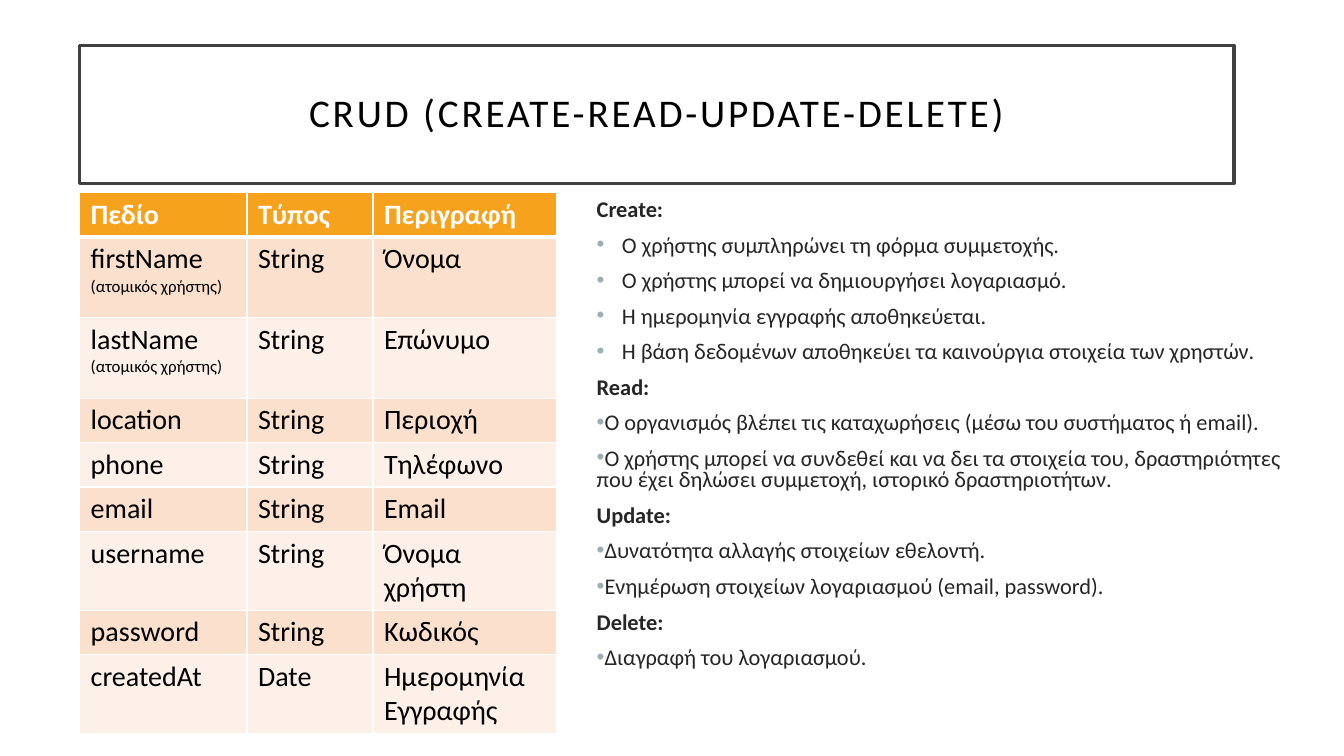
"""Build the CRUD slide: a framed title, a table of user fields and a list of operations."""
from dataclasses import dataclass

from lxml import etree
from pptx import Presentation
from pptx import util as u
from pptx.dml.color import RGBColor
from pptx.enum import text as t
from pptx.oxml.ns import qn

COLUMNS, ROWS = 80, 45
SLIDE_WIDTH, SLIDE_HEIGHT = u.Inches(13.33), u.Inches(7.5)


@dataclass(frozen=True)
class Theme:
    font: str = "Calibri"
    title_size: int = 28
    table_size: int = 20
    body_size: int = 16
    note_size: int = 12
    black: str = "000000"
    white: str = "FFFFFF"
    frame: str = "404040"
    body: str = "262626"
    bullet: str = "9BAFB5"
    header: str = "F6A21D"
    bands: tuple[str, str] = ("FBE0CD", "FDF0E8")


@dataclass(frozen=True)
class Box:
    left: float
    top: float
    width: float
    height: float


@dataclass(frozen=True)
class Field:
    name: str
    kind: str
    description: str
    height: float = 1.92


@dataclass(frozen=True)
class Operation:
    name: str
    steps: tuple[str, ...]
    margin: float = 0


THEME = Theme()
TITLE_BOX = Box(4.74, 2.7, 68.7, 8.22)
BODY_BOX = Box(34.92, 11.64, 43.2, 29.52)
TABLE_BOX = Box(4.74, 11.46, 28.38, 32.16)
TABLE_COLUMNS = (9.96, 7.5, 10.92)
BULLET_INDENT = 1.5

FIELDS = (
    Field("Πεδίο", "Τύπος", "Περιγραφή"),
    Field("firstName\n(ατομικός χρήστης)", "String", "Όνομα", 4.8),
    Field("lastName\n(ατομικός χρήστης)", "String", "Επώνυμο", 4.8),
    Field("location", "String", "Περιοχή"),
    Field("phone", "String", "Τηλέφωνο"),
    Field("email", "String", "Email"),
    Field("username", "String", "Όνομα χρήστη", 3.36),
    Field("password", "String", "Κωδικός"),
    Field("createdAt", "Date", "Ημερομηνία Εγγραφής", 3.36),
)

OPERATIONS = (
    Operation("Create:", (
        "Ο χρήστης συμπληρώνει τη φόρμα συμμετοχής.",
        "Ο χρήστης μπορεί να δημιουργήσει λογαριασμό.",
        "Η ημερομηνία εγγραφής αποθηκεύεται.",
        "Η βάση δεδομένων αποθηκεύει τα καινούργια στοιχεία των χρηστών.",
    ), BULLET_INDENT),
    Operation("Read:", (
        "Ο οργανισμός βλέπει τις καταχωρήσεις (μέσω του συστήματος ή email).",
        "Ο χρήστης μπορεί να συνδεθεί και να δει τα στοιχεία του, δραστηριότητες "
        "που έχει δηλώσει συμμετοχή, ιστορικό δραστηριοτήτων.",
    )),
    Operation("Update:", (
        "Δυνατότητα αλλαγής στοιχείων εθελοντή.",
        "Ενημέρωση στοιχείων λογαριασμού (email, password).",
    )),
    Operation("Delete:", ("Διαγραφή του λογαριασμού.",)),
)


def across(columns: float) -> int:
    """Turn grid columns into a length."""
    return round(SLIDE_WIDTH * columns / COLUMNS)


def down(rows: float) -> int:
    """Turn grid rows into a length."""
    return round(SLIDE_HEIGHT * rows / ROWS)


def place(shape, box: Box) -> None:
    """Move a shape to its box on the grid."""
    shape.left, shape.top = across(box.left), down(box.top)
    shape.width, shape.height = across(box.width), down(box.height)


def format_runs(paragraph, size: int, color: str, bold: bool = False) -> None:
    """Give every run of a paragraph its font."""
    for run in paragraph.runs:
        run.font.name, run.font.size, run.font.bold = THEME.font, u.Pt(size), bold
        run.font.color.rgb = RGBColor.from_string(color)


def add_color(parent, tag: str, color: str) -> None:
    """Append a colour holder such as a:solidFill or a:buClr."""
    holder = etree.SubElement(parent, qn(tag))
    etree.SubElement(holder, qn("a:srgbClr"), val=color)


def draw_title(title) -> None:
    """Write the title in its dark frame."""
    place(title, TITLE_BOX)
    title.fill.solid()
    title.fill.fore_color.rgb = RGBColor.from_string(THEME.white)
    title.line.color.rgb = RGBColor.from_string(THEME.frame)
    title.line.width = u.Pt(2.5)
    frame = title.text_frame
    frame.text = "CRUD (CREATE-READ-UPDATE-DELETE)"
    frame.auto_size = t.MSO_AUTO_SIZE.NONE
    frame.vertical_anchor = t.MSO_ANCHOR.MIDDLE
    paragraph = frame.paragraphs[0]
    paragraph.alignment, paragraph.line_spacing = t.PP_ALIGN.CENTER, 0.9
    format_runs(paragraph, THEME.title_size, THEME.black)
    paragraph.runs[0].font._element.set("spc", "200")


def set_bullet(paragraph, margin: float, indent: float, bulleted: bool) -> None:
    """Set the indents of a paragraph and show or hide its bullet."""
    properties = paragraph._p.get_or_add_pPr()
    properties.set("marL", str(across(margin)))
    properties.set("indent", str(across(indent)))
    if bulleted:
        add_color(properties, "a:buClr", THEME.bullet)
        etree.SubElement(properties, qn("a:buFont"), typeface="Arial")
        etree.SubElement(properties, qn("a:buChar"), char="•")
    else:
        etree.SubElement(properties, qn("a:buNone"))


def draw_operations(body) -> None:
    """List the operations with their steps."""
    place(body, BODY_BOX)
    frame = body.text_frame
    frame.auto_size = t.MSO_AUTO_SIZE.NONE
    lines = [(text, operation.margin, index > 0) for operation in OPERATIONS
             for index, text in enumerate((operation.name, *operation.steps))]
    frame.text = "\n".join(text for text, _, _ in lines)
    for paragraph, (_, margin, bulleted) in zip(frame.paragraphs, lines):
        paragraph.line_spacing, paragraph.space_before = 0.8, u.Pt(10)
        set_bullet(paragraph, margin if bulleted else 0,
                   -BULLET_INDENT if bulleted else 0, bulleted)
        format_runs(paragraph, THEME.body_size, THEME.body, not bulleted)


def draw_cell(cell, text: str, row: int) -> None:
    """Fill, border and write one table cell."""
    widths = {"a:lnL": 1, "a:lnR": 1, "a:lnT": 3 if row == 1 else 1, "a:lnB": 1 if row else 3}
    properties = cell._tc.get_or_add_tcPr()
    for tag, width in widths.items():
        border = etree.SubElement(properties, qn(tag), w=str(u.Pt(width)))
        add_color(border, "a:solidFill", THEME.white)
    cell.fill.solid()
    cell.fill.fore_color.rgb = RGBColor.from_string(THEME.bands[(row - 1) % 2] if row else THEME.header)
    cell.margin_left = cell.margin_right = u.Inches(0.11)
    cell.text_frame.text = text
    for index, paragraph in enumerate(cell.text_frame.paragraphs):
        format_runs(paragraph, THEME.note_size if index else THEME.table_size,
                    THEME.black if row else THEME.white, row == 0)


def draw_fields(slide) -> None:
    """Add the table of user fields."""
    table = slide.shapes.add_table(
        len(FIELDS), len(TABLE_COLUMNS), across(TABLE_BOX.left), down(TABLE_BOX.top),
        across(TABLE_BOX.width), down(TABLE_BOX.height)).table
    for column, width in zip(table.columns, TABLE_COLUMNS):
        column.width = across(width)
    for row, field in enumerate(FIELDS):
        table.rows[row].height = down(field.height)
        for column, text in enumerate((field.name, field.kind, field.description)):
            draw_cell(table.cell(row, column), text, row)


def main() -> None:
    """Build and save the presentation."""
    presentation = Presentation()
    presentation.slide_width, presentation.slide_height = SLIDE_WIDTH, SLIDE_HEIGHT
    slide = presentation.slides.add_slide(presentation.slide_layouts[1])
    draw_title(slide.shapes.title)
    draw_operations(slide.placeholders[1])
    draw_fields(slide)
    presentation.save("out.pptx")


if __name__ == "__main__":
    main()
